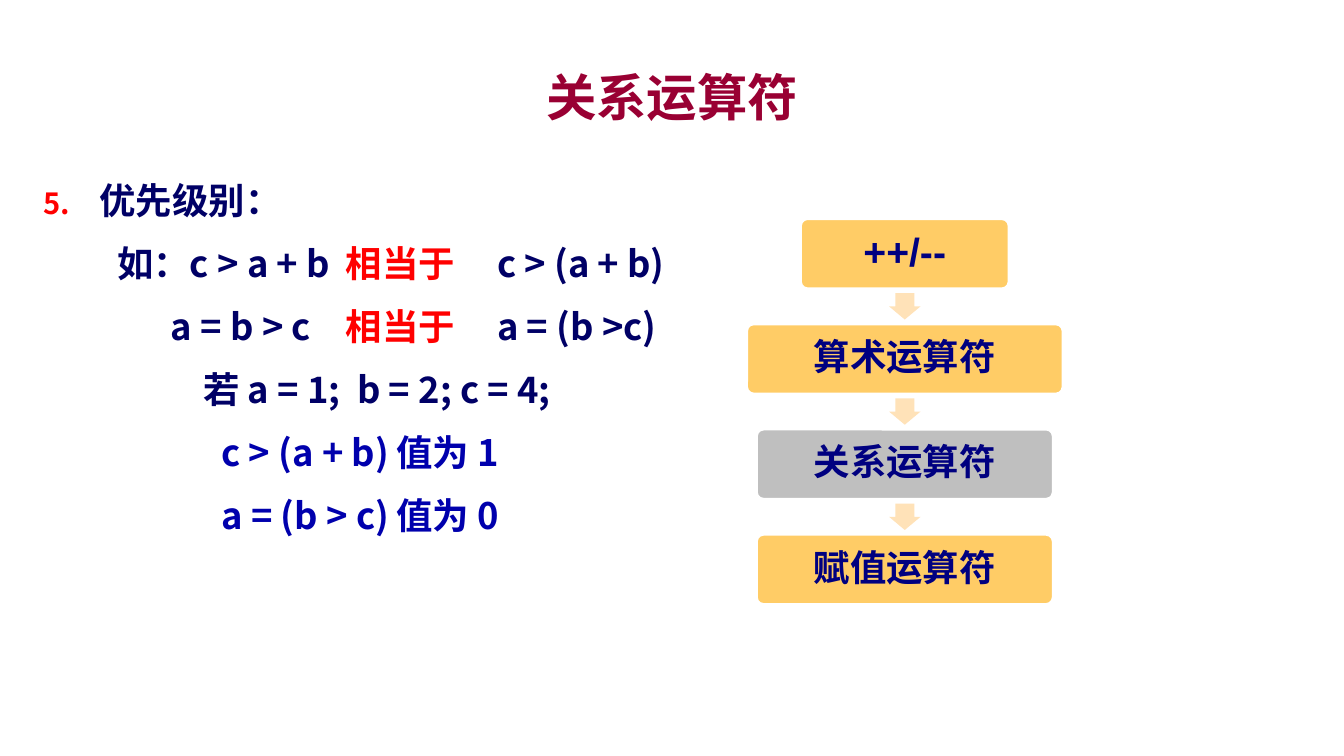
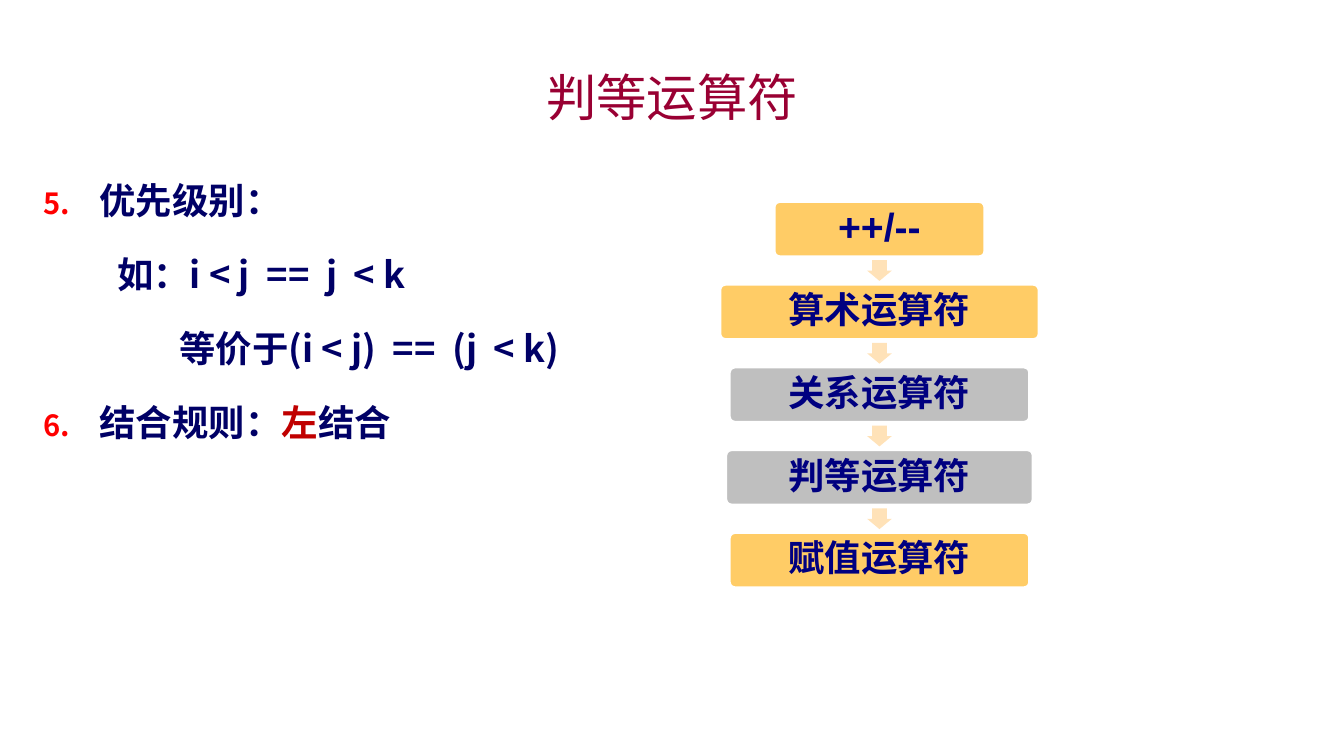
from dataclasses import dataclass

import pptx
import pptx.dml.color
import pptx.enum.shapes
import pptx.enum.text
import pptx.oxml
import pptx.oxml.ns
import pptx.shapes.autoshape
import pptx.slide
import pptx.text.text
import pptx.util

Pt = pptx.util.Pt
RGB = pptx.dml.color.RGBColor
SHAPE = pptx.enum.shapes.MSO_SHAPE
ALIGN = pptx.enum.text.PP_ALIGN
ANCHOR = pptx.enum.text.MSO_ANCHOR

MAROON = RGB(0x99, 0x00, 0x33)
NAVY = RGB(0x00, 0x00, 0x66)
BLUE = RGB(0x00, 0x00, 0xAD)
INK = RGB(0x00, 0x00, 0x80)
RED = RGB(0xFF, 0x00, 0x00)
BRICK = RGB(0xC0, 0x00, 0x00)
GOLD = RGB(0xFF, 0xCC, 0x66)
CREAM = RGB(0xFF, 0xE2, 0xB8)
GREY = RGB(0xBF, 0xBF, 0xBF)
WHITE = RGB(0xFF, 0xFF, 0xFF)

HAN = "Noto Sans CJK SC"
LATIN = "Arial"
HANG = 40


@dataclass(frozen=True)
class Run:
    text: str
    color: RGB = NAVY
    size: float = 26
    bold: bool = True
    font: str = HAN


@dataclass(frozen=True)
class Line:
    """A numbered line when number is set, else one indented by indent."""
    runs: tuple[Run, ...]
    indent: float = 0
    number: int = 0
    tabs: tuple[float, ...] = ()
    space: float = 1.5


@dataclass(frozen=True)
class Step:
    run: Run
    width: float
    fill: RGB = GOLD


@dataclass(frozen=True)
class Stack:
    """Boxes from highest to lowest precedence, centred on mid."""
    mid: float
    top: float
    height: float
    steps: tuple[Step, ...]


@dataclass(frozen=True)
class Page:
    title: Run
    lines: tuple[Line, ...]
    stack: Stack


def heading(text: str, bold: bool = True) -> Run:
    return Run(text, MAROON, 36, bold)


def label(text: str) -> Run:
    return Run(text, INK)


PLUS = Run("++/--", INK, 28, font=LATIN)
RANK = Line((Run("优先级别："),), number=5)

PAGES = (
    Page(
        heading("关系运算符"),
        (
            RANK,
            Line((Run("如：c > a + b\t"), Run("相当于\t", RED), Run("c > (a + b)")),
                 52.5, tabs=(229, 331), space=1.25),
            Line((Run("a = b > c\t"), Run("相当于\t", RED), Run("a = (b >c)")),
                 91, tabs=(215, 317), space=1.25),
            Line((Run("若 a = 1;  b = 2; c = 4;"),), 114, space=1.25),
            Line((Run("c > (a + b)\t值为 1", BLUE),), 127, tabs=(265,), space=1.25),
            Line((Run("a = (b > c)\t值为 0", BLUE),), 127, tabs=(271,), space=1.25),
        ),
        Stack(646.3, 156.2, 50.1, (
            Step(PLUS, 149),
            Step(label("算术运算符"), 226),
            Step(label("关系运算符"), 212, GREY),
            Step(label("赋值运算符"), 212),
        )),
    ),
    Page(
        heading("判等运算符", False),
        (
            RANK,
            Line((Run("如：i < j  ==  j  < k"),), 52.5),
            Line((Run("等价于(i < j)  ==  (j  < k)"),), 97),
            Line((Run("结合规则："), Run("左", BRICK), Run("结合")), number=6),
        ),
        Stack(628.2, 144, 39.4, (
            Step(PLUS, 150.5),
            Step(label("算术运算符"), 228),
            Step(label("关系运算符"), 214.5, GREY),
            Step(label("判等运算符"), 219.5, GREY),
            Step(label("赋值运算符"), 214.5),
        )),
    ),
)


def write(para: pptx.text.text._Paragraph, runs: tuple[Run, ...]) -> None:
    for item in runs:
        run = para.add_run()
        run.text = item.text
        font = run.font
        font.name = item.font
        font.size = Pt(item.size)
        font.bold = item.bold
        font.color.rgb = item.color
        east = pptx.oxml.parse_xml(
            f'<a:ea {pptx.oxml.ns.nsdecls("a")} typeface="{item.font}"/>')
        run._r.get_or_add_rPr().find(pptx.oxml.ns.qn("a:latin")).addnext(east)


def indent(para: pptx.text.text._Paragraph, line: Line) -> None:
    """Set the indent, number and tab stops of a paragraph."""
    props = para._p.get_or_add_pPr()
    left, first = (HANG, -HANG) if line.number else (0, line.indent)
    props.set("marL", str(Pt(left)))
    props.set("indent", str(Pt(first)))
    parts = []
    if line.number:
        parts += [
            f'<a:buClr><a:srgbClr val="{RED}"/></a:buClr>',
            '<a:buSzPct val="80000"/>',
            f'<a:buAutoNum type="arabicPeriod" startAt="{line.number}"/>',
        ]
    if line.tabs:
        stops = "".join(f'<a:tab pos="{Pt(pos)}" algn="l"/>' for pos in line.tabs)
        parts.append(f"<a:tabLst>{stops}</a:tabLst>")
    space = pptx.oxml.ns.nsdecls("a")
    for child in pptx.oxml.parse_xml(f'<a:pPr {space}>{"".join(parts)}</a:pPr>'):
        props.append(child)


def frame(slide: pptx.slide.Slide, left: float, top: float,
          width: float, height: float) -> pptx.text.text.TextFrame:
    box = slide.shapes.add_textbox(Pt(left), Pt(top), Pt(width), Pt(height))
    box.text_frame.word_wrap = True
    return box.text_frame


def head(slide: pptx.slide.Slide, title: Run) -> None:
    text = frame(slide, 72, 42, 816, 54)
    text.vertical_anchor = ANCHOR.MIDDLE
    para = text.paragraphs[0]
    para.alignment = ALIGN.CENTER
    write(para, (title,))


def body(slide: pptx.slide.Slide, lines: tuple[Line, ...]) -> None:
    text = frame(slide, 24, 108, 912, 408)
    for index, line in enumerate(lines):
        para = text.add_paragraph() if index else text.paragraphs[0]
        indent(para, line)
        para.line_spacing = line.space
        para.space_before = Pt(6 if index else 0)
        write(para, line.runs)


def solid(slide: pptx.slide.Slide, kind: SHAPE, mid: float, top: float,
          width: float, height: float, fill: RGB) -> pptx.shapes.autoshape.Shape:
    """Add a filled shape without outline, centred on mid."""
    shape = slide.shapes.add_shape(
        kind, Pt(mid - width / 2), Pt(top), Pt(width), Pt(height))
    shape.shadow.inherit = False
    shape.fill.solid()
    shape.fill.fore_color.rgb = fill
    shape.line.fill.background()
    return shape


def draw(slide: pptx.slide.Slide, stack: Stack) -> None:
    """Draw the boxes with an arrow centred in each gap."""
    tall = stack.height
    gap = tall / 2
    wide, long = 0.45 * tall, 0.375 * tall
    for index, step in enumerate(stack.steps):
        top = stack.top + index * (tall + gap)
        if index:
            arrow = solid(slide, SHAPE.DOWN_ARROW, stack.mid,
                          top - (gap + long) / 2, wide, long, CREAM)
            arrow.adjustments[0] = 0.6
            arrow.adjustments[1] = 0.5
        box = solid(slide, SHAPE.ROUNDED_RECTANGLE, stack.mid, top,
                    step.width, tall, step.fill)
        box.adjustments[0] = 0.1
        box.line.color.rgb = WHITE
        box.line.width = Pt(2)
        text = box.text_frame
        text.word_wrap = True
        text.vertical_anchor = ANCHOR.MIDDLE
        text.margin_top = text.margin_bottom = Pt(0)
        para = text.paragraphs[0]
        para.alignment = ALIGN.CENTER
        para.line_spacing = 0.9
        write(para, (step.run,))


def main() -> None:
    deck = pptx.Presentation()
    deck.slide_width, deck.slide_height = Pt(960), Pt(540)
    for page in PAGES:
        slide = deck.slides.add_slide(deck.slide_layouts[6])
        head(slide, page.title)
        body(slide, page.lines)
        draw(slide, page.stack)
    deck.save("out.pptx")


if __name__ == "__main__":
    main()
